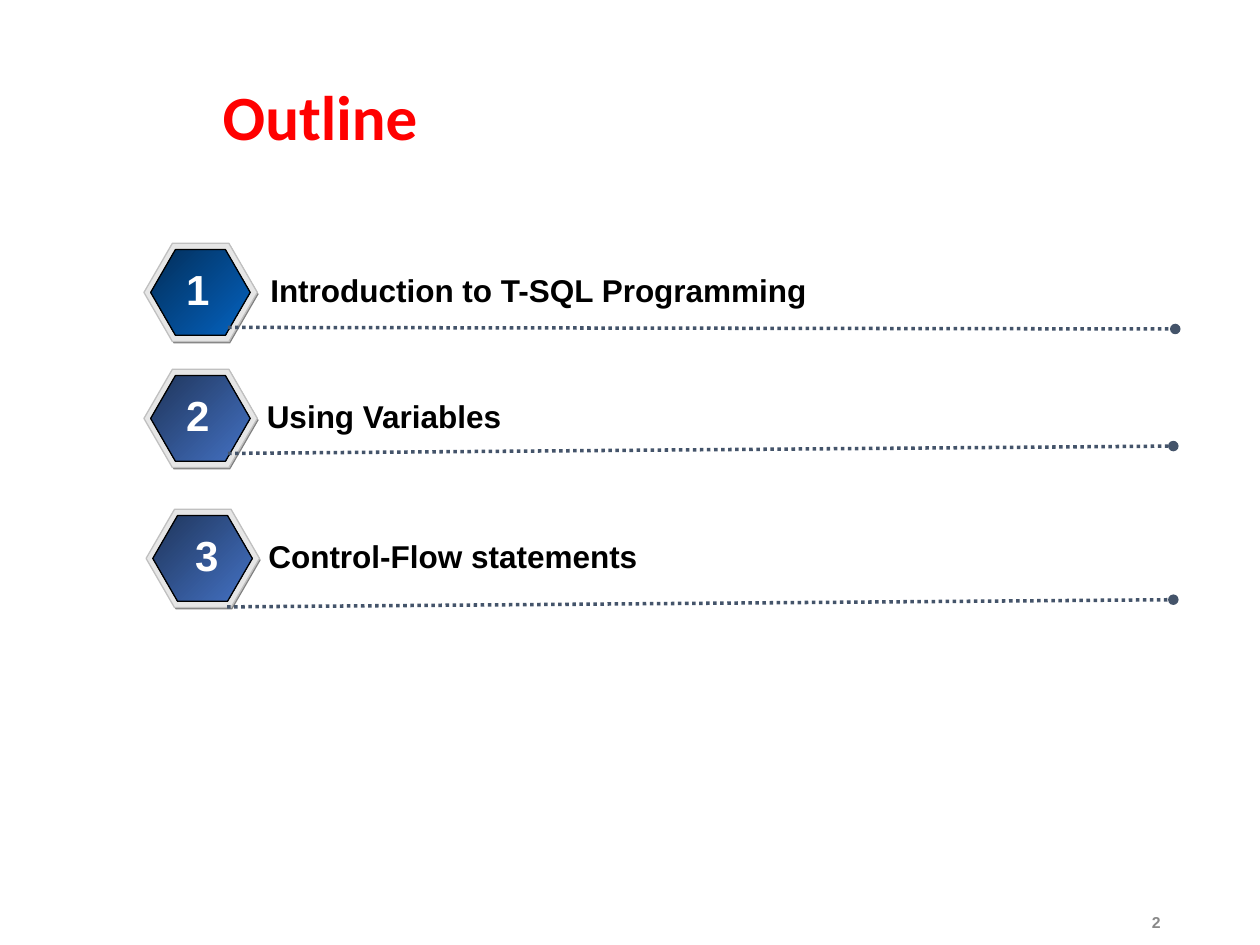
from dataclasses import dataclass

from lxml.etree import SubElement
from pptx import Presentation
from pptx.dml.color import RGBColor
from pptx.enum.dml import MSO_LINE
from pptx.enum.shapes import MSO_CONNECTOR, MSO_SHAPE
from pptx.enum.text import MSO_ANCHOR, PP_ALIGN
from pptx.oxml.ns import qn
from pptx.util import Pt

COLORS = {
    "title": "FF0000",
    "label": "000000",
    "number": "FFFFFF",
    "page": "898989",
    "shadow": "808080",
    "rim": "E6E6E6",
    "rim_line": "C0C0C0",
    "face_line": "000000",
    "rule": "44546A",
    "ocean_dark": "022E59",
    "ocean_light": "0563C1",
    "blue_dark": "1F355B",
    "blue_light": "4472C4",
}


@dataclass
class OutlineItem:
    """One numbered row; all positions are in points."""
    text: str
    badge: tuple
    number_left: float
    label_left: float
    rule_start: tuple
    rule_end: tuple
    shade: str = "blue"


ITEMS = [
    OutlineItem("Introduction to T-SQL Programming", (82.3, 139), 98, 147.4,
                (130.3, 187.1), (671.6, 188), "ocean"),
    OutlineItem("Using Variables", (82.3, 211), 98, 145.4,
                (130.3, 259.1), (670.5, 254.9)),
    OutlineItem("Control-Flow statements", (83.5, 291), 103, 146.3,
                (129.8, 346.8), (670.5, 342.7)),
]


def color(name):
    return RGBColor.from_string(COLORS[name])


def add_text(slide, box, text, size, color_name, font="Arial",
             align=PP_ALIGN.LEFT, anchor=MSO_ANCHOR.TOP):
    shape = slide.shapes.add_textbox(*map(Pt, box))
    frame = shape.text_frame
    frame.word_wrap = True
    frame.vertical_anchor = anchor
    paragraph = frame.paragraphs[0]
    paragraph.text = text
    paragraph.alignment = align
    paragraph.font.name = font
    paragraph.font.size = Pt(size)
    paragraph.font.bold = True
    paragraph.font.color.rgb = color(color_name)


def add_hexagon(slide, box, fill, line=None):
    """Fill with one colour name, or with a diagonal gradient of two."""
    shape = slide.shapes.add_shape(MSO_SHAPE.HEXAGON, *map(Pt, box))
    shape.shadow.inherit = False
    shape.adjustments[0] = 0.289
    if isinstance(fill, tuple):
        shape.fill.gradient()
        shape.fill.gradient_angle = 315
        for stop, name in zip(shape.fill.gradient_stops, fill):
            stop.color.rgb = color(name)
    else:
        shape.fill.solid()
        shape.fill.fore_color.rgb = color(fill)
    if line:
        shape.line.color.rgb = color(line)
        shape.line.width = Pt(0.75)
    else:
        shape.line.fill.background()


def add_badge(slide, left, top, shade):
    add_hexagon(slide, (left + 0.7, top + 1, 64.8, 56.2), "shadow")
    add_hexagon(slide, (left, top, 64.8, 56.2), "rim", "rim_line")
    add_hexagon(slide, (left + 3.8, top + 3.6, 56.9, 49),
                (f"{shade}_dark", f"{shade}_light"), "face_line")


def add_rule(slide, start, end):
    """Dotted line that ends in a round dot."""
    rule = slide.shapes.add_connector(MSO_CONNECTOR.STRAIGHT,
                                      *map(Pt, start + end))
    rule.line.color.rgb = color("rule")
    rule.line.width = Pt(2)
    rule.line.dash_style = MSO_LINE.ROUND_DOT
    properties = rule.element.spPr
    SubElement(properties.find(qn("a:ln")), qn("a:tailEnd"), type="oval")
    SubElement(properties, qn("a:effectLst"))


def add_item(slide, number, item):
    left, top = item.badge
    add_badge(slide, left, top, item.shade)
    add_rule(slide, item.rule_start, item.rule_end)
    add_text(slide, (item.label_left, top + 12.6, 520, 29), item.text,
             18, "label")
    add_text(slide, (item.number_left, top + 8, 30.2, 36), str(number),
             24, "number", align=PP_ALIGN.CENTER)


def main():
    presentation = Presentation()
    presentation.slide_width = Pt(720)
    presentation.slide_height = Pt(540)
    slide = presentation.slides.add_slide(presentation.slide_layouts[6])
    add_text(slide, (120.2, 28.8, 550, 74.2), "Outline", 36, "title",
             font="Calibri", anchor=MSO_ANCHOR.MIDDLE)
    for number, item in enumerate(ITEMS, start=1):
        add_item(slide, number, item)
    add_text(slide, (508.3, 514, 162, 26), "2", 9, "page",
             align=PP_ALIGN.RIGHT, anchor=MSO_ANCHOR.MIDDLE)
    presentation.save("out.pptx")


if __name__ == "__main__":
    main()
